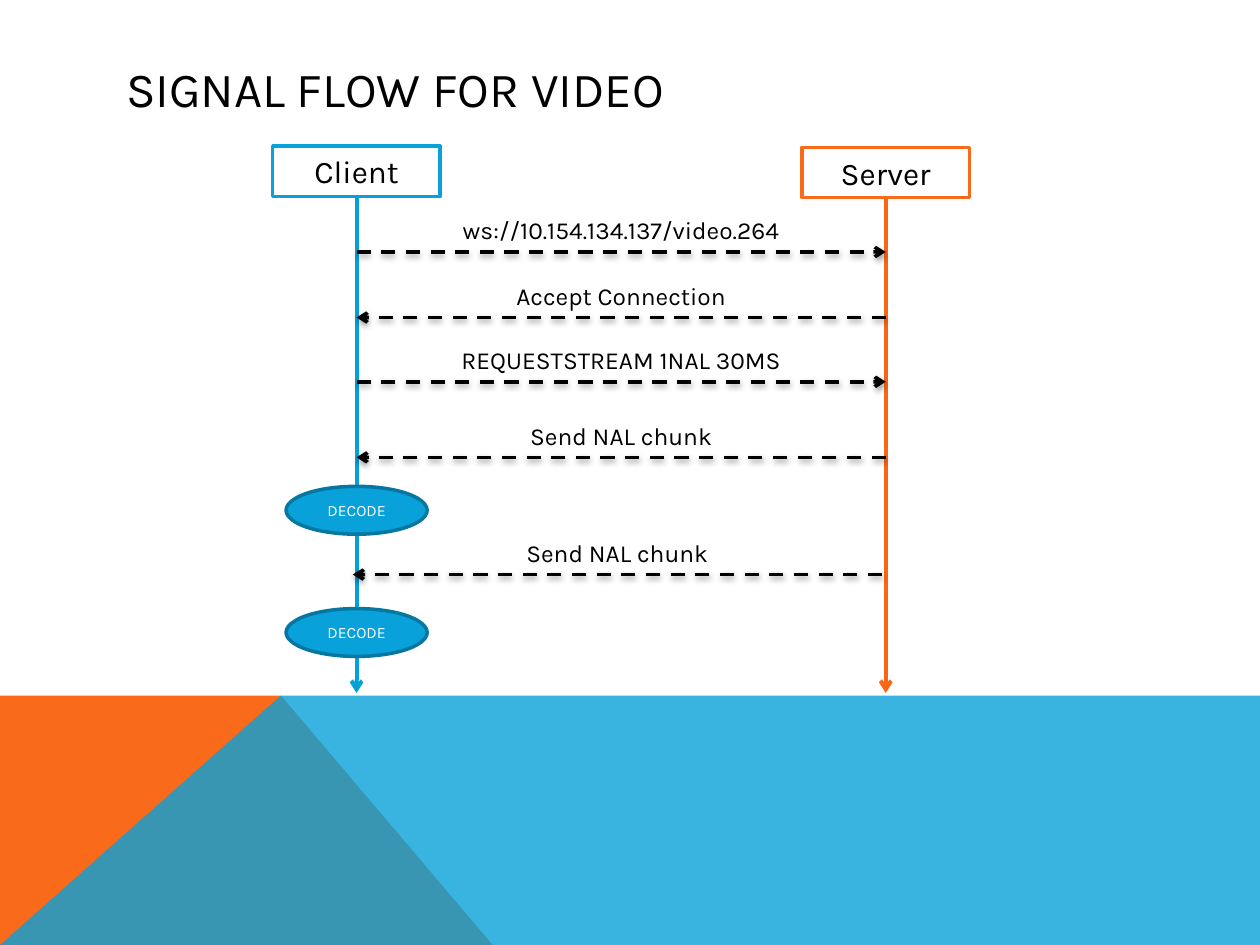
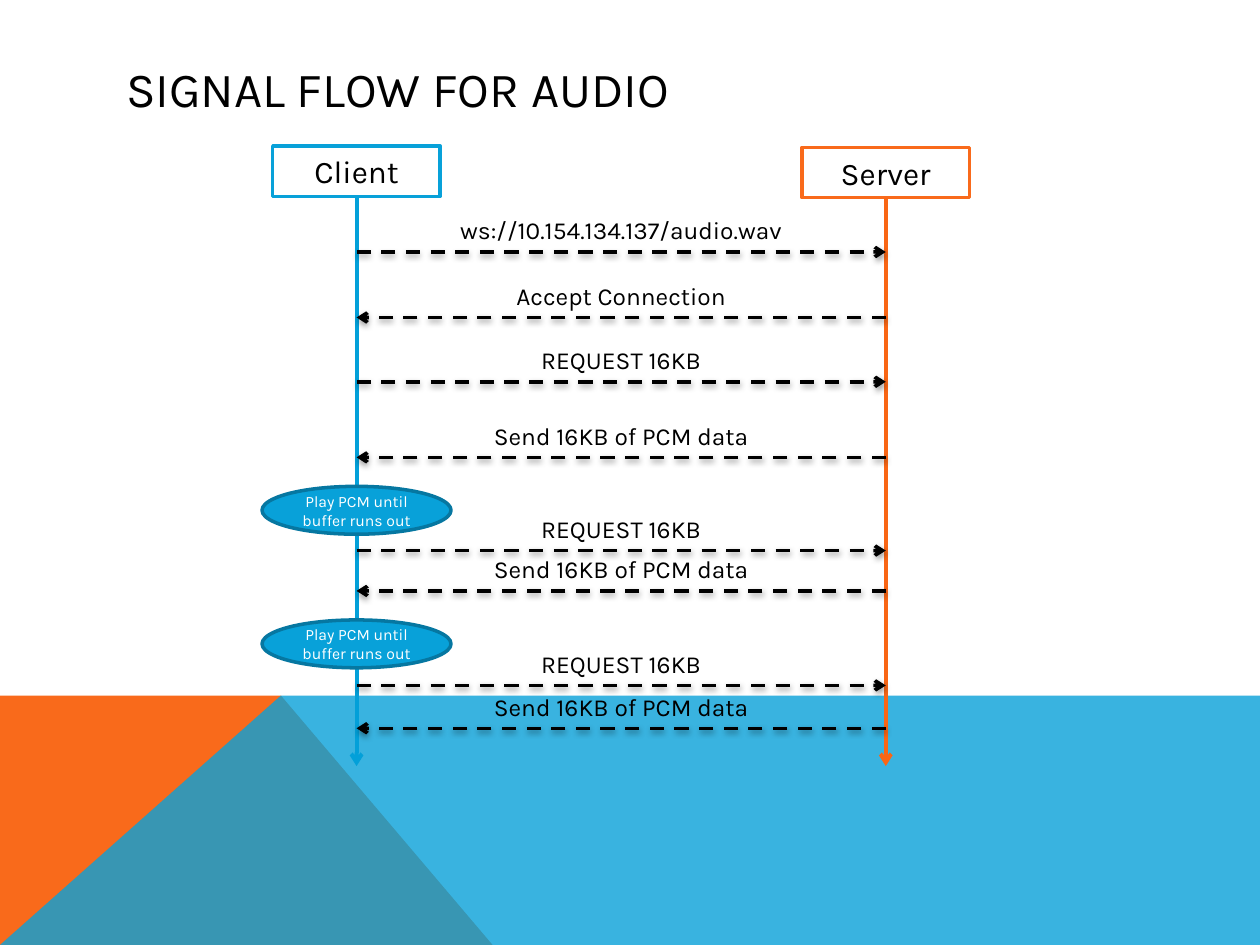
"""Build two sequence diagrams of the signal flow between client and server."""
from pptx import Presentation
from pptx.dml.color import RGBColor
from pptx.enum.dml import MSO_LINE
from pptx.enum.shapes import MSO_CONNECTOR, MSO_SHAPE
from pptx.enum.text import MSO_ANCHOR, MSO_AUTO_SIZE, PP_ALIGN
from pptx.oxml import parse_xml
from pptx.oxml.ns import nsdecls, qn
from pptx.util import Inches, Pt

BLACK = RGBColor(0x00, 0x00, 0x00)
WHITE = RGBColor(0xFF, 0xFF, 0xFF)
BLUE = RGBColor(0x08, 0xA1, 0xD9)
NAVY = RGBColor(0x06, 0x77, 0xA1)
ORANGE = RGBColor(0xF9, 0x6A, 0x1B)
BLUE_LINE = RGBColor(0x03, 0xA0, 0xD9)
ORANGE_LINE = RGBColor(0xF9, 0x66, 0x15)

RECT, OVAL = MSO_SHAPE.RECTANGLE, MSO_SHAPE.OVAL
STRAIGHT, DASH = MSO_CONNECTOR.STRAIGHT, MSO_LINE.DASH
LEFT, CENTER = PP_ALIGN.LEFT, PP_ALIGN.CENTER
MIDDLE, TOP = MSO_ANCHOR.MIDDLE, MSO_ANCHOR.TOP
FIXED, GROW = MSO_AUTO_SIZE.NONE, MSO_AUTO_SIZE.SHAPE_TO_FIT_TEXT

WIDE, HIGH = 10, 7.5
HORIZON, PEAK = 5.52, 2.23
BANDS = [
    (ORANGE, 100, [(0, HIGH), (0, HORIZON), (PEAK, HORIZON), (3.91, HIGH)]),
    (BLUE, 80, [(0, HIGH), (PEAK, HORIZON), (WIDE, HORIZON), (WIDE, HIGH)]),
]

CLIENT, SERVER = 2.83, 7.03
ACTORS = [
    ("Client", CLIENT, 1.16, BLUE, BLUE_LINE),
    ("Server", SERVER, 1.17, ORANGE, ORANGE_LINE),
]
BOX_W, BOX_H, LIFE_TOP = 1.33, 0.4, 1.57
LABEL_W, LABEL_H, STEP_H = 3.08, 0.34, 0.38

TITLE = {"size": Pt(28), "color": BLACK, "align": LEFT}
ACTOR = {"size": Pt(18), "color": BLACK, "align": CENTER}
LABEL = {"size": Pt(14), "color": BLACK, "align": CENTER}
STEP = {"size": Pt(9), "color": WHITE, "align": CENTER}

ASK, REPLY = (CLIENT, SERVER), (SERVER, CLIENT)
PULL, PUSH = "REQUEST 16KB", "Send 16KB of PCM data"
CHUNK, PLAY = "Send NAL chunk", "Play PCM until buffer runs out"
FLOWS = [
    {
        "title": "SIGNAL FLOW FOR VIDEO",
        "end": 5.5,
        "calls": [
            (2, ASK, 0, "ws://10.154.134.137/video.264"),
            (2.52, REPLY, 0, "Accept Connection"),
            (3.03, ASK, 0, "REQUESTSTREAM 1NAL 30MS"),
            (3.63, REPLY, 0, CHUNK),
            (4.56, REPLY, -0.03, CHUNK),
        ],
        "steps": [(3.86, 1.12, "DECODE"), (4.83, 1.12, "DECODE")],
    },
    {
        "title": "SIGNAL FLOW FOR AUDIO",
        "end": 6.08,
        "calls": [
            (2, ASK, 0, "ws://10.154.134.137/audio.wav"),
            (2.52, REPLY, 0, "Accept Connection"),
            (3.03, ASK, 0, PULL),
            (3.63, REPLY, 0, PUSH),
            (4.37, ASK, 0, PULL),
            (4.69, REPLY, 0, PUSH),
            (5.44, ASK, 0, PULL),
            (5.78, REPLY, 0, PUSH),
        ],
        "steps": [(3.86, 1.5, PLAY), (4.92, 1.5, PLAY)],
    },
]

SHADE = (
    '<a:outerShdw blurRad="40000" dist="20000" dir="5400000" rotWithShape="0">'
    '<a:srgbClr val="000000"><a:alpha val="38000"/></a:srgbClr></a:outerShdw>'
)


def inches(*sizes):
    return [Inches(size) for size in sizes]


def write(shape, text, style, **frame):
    body = shape.text_frame
    body.text = text
    for name, value in {"word_wrap": True, **frame}.items():
        setattr(body, name, value)
    para = body.paragraphs[0]
    para.alignment = style["align"]
    font = para.runs[0].font
    font.name, font.size = "Karla", style["size"]
    font.color.rgb = style["color"]


def add_form(shapes, kind, box, fill, edge):
    shape = shapes.add_shape(kind, *inches(*box))
    shape.shadow.inherit = False
    shape.fill.solid()
    shape.fill.fore_color.rgb = fill
    shape.line.color.rgb = edge
    shape.line.width = Pt(2)
    return shape


def add_arrow(shapes, start, end, color, width, dash=None, shade=""):
    arrow = shapes.add_connector(STRAIGHT, *inches(*start, *end))
    arrow.line.color.rgb = color
    arrow.line.width = Pt(width)
    if dash:
        arrow.line.dash_style = dash
    props = arrow.element.spPr
    tail = parse_xml(f'<a:tailEnd {nsdecls("a")} type="arrow"/>')
    props.find(qn("a:ln")).append(tail)
    props.append(parse_xml(f'<a:effectLst {nsdecls("a")}>{shade}</a:effectLst>'))


def add_bands(slide):
    layout = slide.slide_layout
    for spare in list(layout.placeholders)[1:]:
        spare.element.getparent().remove(spare.element)
    for color, alpha, points in BANDS:
        first, *rest = [inches(*point) for point in points]
        build = slide.shapes.build_freeform(*first)
        build.add_line_segments(rest, close=True)
        band = build.convert_to_shape()
        band.shadow.inherit = False
        band.line.fill.background()
        band.fill.solid()
        band.fill.fore_color.rgb = color
        if alpha < 100:
            tint = parse_xml(f'<a:alpha {nsdecls("a")} val="{alpha * 1000}"/>')
            band.element.spPr.find(".//" + qn("a:srgbClr")).append(tint)
        layout.shapes.element.append(band.element)


def add_call(shapes, y, ends, shift, text):
    start, end = [x + shift for x in ends]
    group = shapes.add_group_shape().shapes
    add_arrow(group, (start, y), (end, y), BLACK, 2, DASH, SHADE)
    left = (start + end - LABEL_W) / 2
    label = group.add_textbox(*inches(left, y - LABEL_H, LABEL_W, LABEL_H))
    write(label, text, LABEL, auto_size=GROW)


def draw_flow(slide, flow):
    shapes = slide.shapes
    title = shapes.title
    title.left, title.top, title.width, title.height = inches(0.9, 0.4, 8.22, 0.6)
    write(title, flow["title"], TITLE, vertical_anchor=MIDDLE, auto_size=FIXED)
    for name, x, top, edge, _ in ACTORS:
        box = (x - BOX_W / 2, top, BOX_W, BOX_H)
        actor = add_form(shapes, RECT, box, WHITE, edge)
        write(actor, name, ACTOR, vertical_anchor=TOP, auto_size=GROW)
    for _, x, _, _, color in ACTORS:
        add_arrow(shapes, (x, LIFE_TOP), (x, flow["end"]), color, 2.25)
    for call in flow["calls"]:
        add_call(shapes, *call)
    for top, width, text in flow["steps"]:
        box = (CLIENT - width / 2, top, width, STEP_H)
        step = add_form(shapes, OVAL, box, BLUE, NAVY)
        write(step, text, STEP, vertical_anchor=MIDDLE, margin_left=0, margin_right=0)


deck = Presentation()
deck.slide_width, deck.slide_height = inches(WIDE, HIGH)
plain = deck.slide_layouts[5]
slides = [deck.slides.add_slide(plain) for _ in FLOWS]
add_bands(slides[0])
for slide, flow in zip(slides, FLOWS):
    draw_flow(slide, flow)
deck.save("out.pptx")
